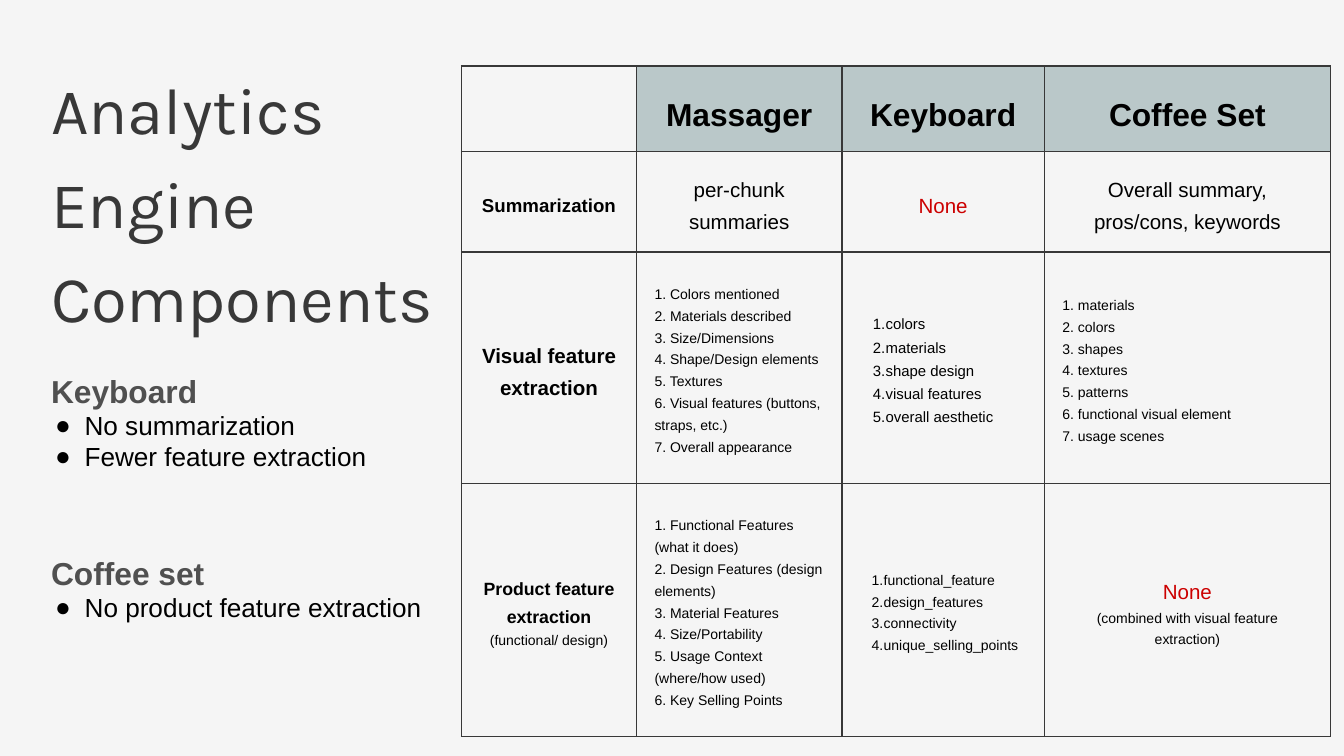
from lxml import etree
from pptx import Presentation
from pptx.dml.color import RGBColor
from pptx.enum import text
from pptx.oxml import ns
from pptx.util import Inches, Pt

INK, BLACK, GREY, RED = "383838", "000000", "505050", "CC0000"
PAPER, HEADER = "F5F5F5", "BAC8C9"

TITLE = ["Analytics", "Engine Components"]
SECTIONS = [  # top, width, heading, bullets
    (5.3, 7.53, "Keyboard", ["No summarization", "Fewer feature extraction"]),
    (8.01, 5.89, "Coffee set", ["No product feature extraction"]),
]

COLUMNS = [2.6, 3.06, 3.01, 4.26]
ROWS = [1.16, 1.35, 3.44, 3.77]


def centred(*lines):
    """Each line is (text, size, bold, colour)."""
    return {"lines": lines, "align": text.PP_ALIGN.CENTER}


def listing(size, *items, indent=None):
    """A left-aligned list, auto-numbered when an indent is given."""
    return {"lines": [(item, size, False, BLACK) for item in items],
            "align": text.PP_ALIGN.LEFT, "indent": indent}


CELLS = [
    [None] + [centred((name, 34, True, BLACK))
              for name in ("Massager", "Keyboard", "Coffee Set")],
    [centred(("Summarization", 20, True, BLACK)),
     centred(("per‑chunk summaries", 22, False, BLACK)),
     centred(("None", 22, False, RED)),
     centred(("Overall summary, pros/cons, keywords", 22, False, BLACK))],
    [centred(("Visual feature extraction", 22, True, BLACK)),
     listing(15, "1. Colors mentioned", "2. Materials described",
             "3. Size/Dimensions", "4. Shape/Design elements", "5. Textures",
             "6. Visual features (buttons, straps, etc.)",
             "7. Overall appearance"),
     listing(16, "colors", "materials", "shape design", "visual features",
             "overall aesthetic", indent=(0.38, -0.19)),
     listing(15, "1. materials", "2. colors", "3. shapes", "4. textures",
             "5. patterns", "6. functional visual element",
             "7. usage scenes")],
    [centred(("Product feature extraction", 19, True, BLACK),
             ("(functional/ design)", 15, False, BLACK)),
     listing(15, "1. Functional Features (what it does)",
             "2. Design Features (design elements)", "3. Material Features",
             "4. Size/Portability", "5. Usage Context (where/how used)",
             "6. Key Selling Points"),
     listing(15, "functional_feature", "design_features", "connectivity",
             "unique_selling_points", indent=(0.35, -0.18)),
     centred(("None", 22, False, RED),
             ("(combined with visual feature extraction)", 15, False, BLACK))],
]


def paint(target, colour):
    """Set a solid fill."""
    target.fill.solid()
    target.fill.fore_color.rgb = RGBColor.from_string(colour)


def add_line(tf, first, line, size, bold, colour, font="Arial", spacing=1.4,
             align=text.PP_ALIGN.LEFT):
    p = tf.paragraphs[0] if first else tf.add_paragraph()
    p.text = line
    p.alignment = align
    p.line_spacing = spacing
    p.space_before = p.space_after = Pt(0)
    f = p.runs[0].font
    f.name, f.size, f.bold = font, Pt(size), bold
    f.color.rgb = RGBColor.from_string(colour)
    return p


def add_bullet(p, indent, tag, **attributes):
    pPr = p._p.get_or_add_pPr()
    pPr.set("marL", str(Inches(indent[0])))
    pPr.set("indent", str(Inches(indent[1])))
    clr = etree.SubElement(pPr, ns.qn("a:buClr"))
    etree.SubElement(clr, ns.qn("a:srgbClr"), val=BLACK)
    etree.SubElement(pPr, ns.qn("a:buFont"), typeface="Arial")
    etree.SubElement(pPr, ns.qn(tag), **attributes)


def add_borders(cell):
    tcPr = cell._tc.get_or_add_tcPr()
    for i, side in enumerate(("a:lnL", "a:lnR", "a:lnT", "a:lnB")):
        ln = etree.Element(ns.qn(side), w=str(Pt(1.91)))
        fill = etree.SubElement(ln, ns.qn("a:solidFill"))
        etree.SubElement(fill, ns.qn("a:srgbClr"), val=INK)
        tcPr.insert(i, ln)


def prepare(tf):
    tf.word_wrap = True
    tf.auto_size = text.MSO_AUTO_SIZE.NONE
    tf.vertical_anchor = text.MSO_ANCHOR.TOP
    tf.margin_left = tf.margin_right = tf.margin_top = tf.margin_bottom = 0
    return tf


def fill_cell(cell, content, is_header):
    cell.margin_left = cell.margin_right = Inches(0.27)
    cell.margin_top = cell.margin_bottom = Inches(0.27)
    cell.vertical_anchor = text.MSO_ANCHOR.MIDDLE
    if content and is_header:
        paint(cell, HEADER)
    else:
        cell.fill.background()
    add_borders(cell)
    if not content:
        return
    for i, line in enumerate(content["lines"]):
        p = add_line(cell.text_frame, i == 0, *line, align=content["align"])
        if content.get("indent"):
            add_bullet(p, content["indent"], "a:buAutoNum",
                       type="arabicPeriod")


def main():
    prs = Presentation()
    prs.slide_width, prs.slide_height = Inches(20), Inches(11.25)
    s = prs.slides.add_slide(prs.slide_layouts[5])
    paint(s.background, PAPER)

    title = s.shapes.title
    title.left, title.top = Inches(0.76), Inches(0.8)
    title.width, title.height = Inches(6.22), Inches(4.01)
    tf = prepare(title.text_frame)
    for i, line in enumerate(TITLE):
        add_line(tf, i == 0, line, 70, False, INK, "Karla", 1.2)

    table = s.shapes.add_table(
        len(ROWS), len(COLUMNS), Inches(6.87), Inches(0.98),
        Inches(sum(COLUMNS)), Inches(sum(ROWS))).table
    table.first_row = table.horz_banding = False
    for column, width in zip(table.columns, COLUMNS):
        column.width = Inches(width)
    for row, height in zip(table.rows, ROWS):
        row.height = Inches(height)
    for r, contents in enumerate(CELLS):
        for c, content in enumerate(contents):
            fill_cell(table.cell(r, c), content, r == 0)

    for top, width, heading, bullets in SECTIONS:
        box = s.shapes.add_textbox(Inches(0.76), Inches(top),
                                   Inches(width), Inches(1.74))
        tf = prepare(box.text_frame)
        add_line(tf, True, heading, 34, True, GREY)
        for bullet in bullets:
            p = add_line(tf, False, bullet, 28, False, BLACK, spacing=1.0)
            add_bullet(p, (0.5, -0.44), "a:buChar", char="●")

    prs.save("out.pptx")


if __name__ == "__main__":
    main()
